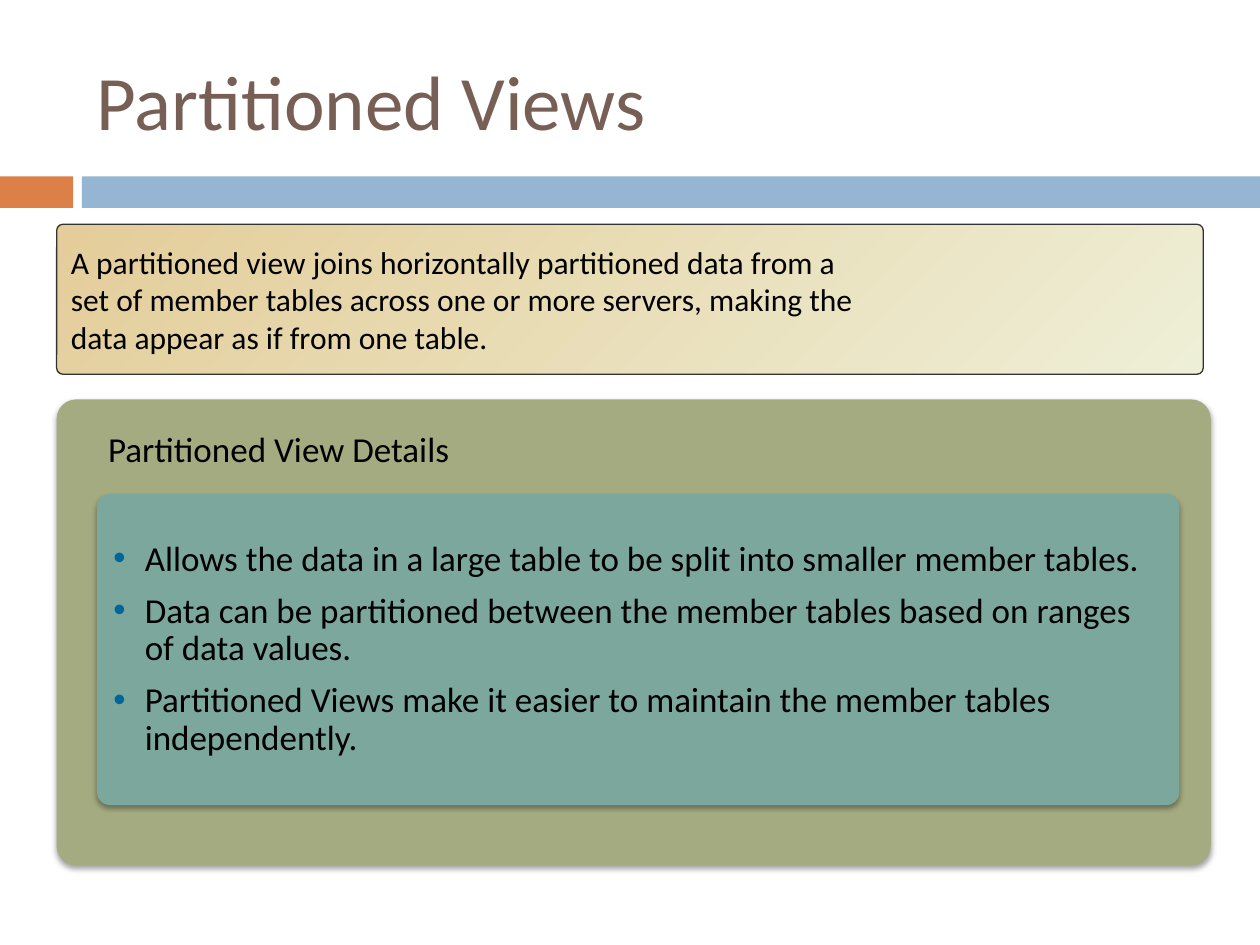
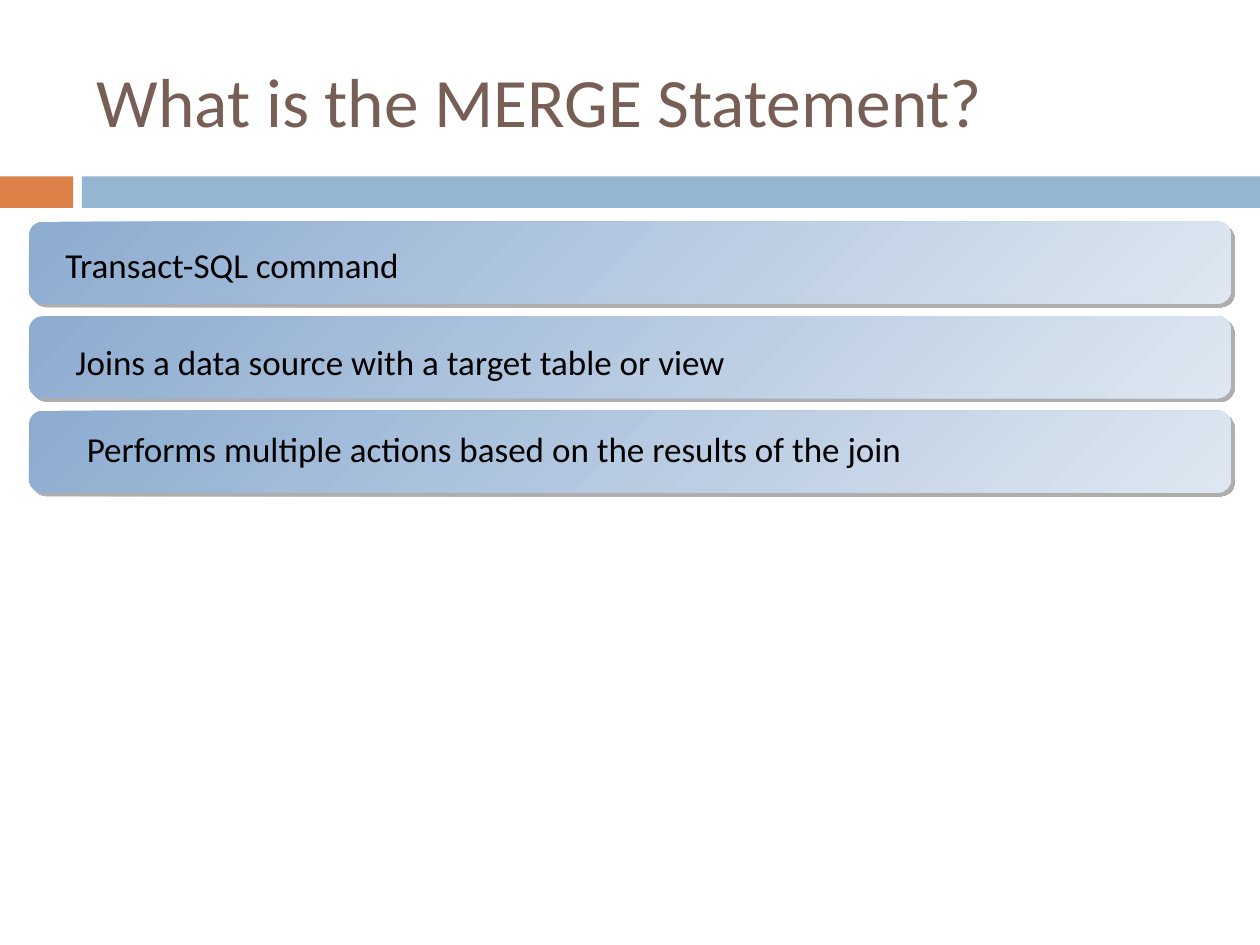
from lxml import etree
from pptx import Presentation
from pptx.dml.color import RGBColor
from pptx.enum import shapes, text
from pptx.oxml.ns import qn
from pptx.util import Inches, Pt

FONT = "Calibri"
BLACK = RGBColor(0x00, 0x00, 0x00)
BROWN = RGBColor(0x77, 0x5F, 0x55)
ORANGE = RGBColor(0xDD, 0x80, 0x47)
BLUE = RGBColor(0x94, 0xB6, 0xD2)
OLIVE = RGBColor(0xA5, 0xAB, 0x81)
TEAL = RGBColor(0x7B, 0xA7, 0x9D)
NAVY = RGBColor(0x00, 0x66, 0x99)
DARK = RGBColor(0x33, 0x33, 0x33)
GRAY = RGBColor(0x5F, 0x5F, 0x5F)
SAND = (RGBColor(0xE4, 0xCD, 0x9A), RGBColor(0xEE, 0xEF, 0xD7))
SKY = (RGBColor(0x8D, 0xAC, 0xD0), RGBColor(0xDE, 0xE7, 0xF1))

# colour, opacity %, blur pt, distance pt, angle
SOFT = (BLACK, 35, 3, 2, 90)
HARD = (GRAY, 50, 0, 2.8, 45)

RECT = shapes.MSO_SHAPE.RECTANGLE
ROUND = shapes.MSO_SHAPE.ROUNDED_RECTANGLE
MIDDLE = text.MSO_ANCHOR.MIDDLE


def add_shadow(shape, color, alpha, blur, dist, angle):
    """Give the shape an outer shadow."""
    effects = shape._element.spPr.find(qn("a:effectLst"))
    outer = etree.SubElement(
        effects, qn("a:outerShdw"), blurRad=str(Pt(blur)), dist=str(Pt(dist)),
        dir=str(angle * 60000), algn="ctr", rotWithShape="0")
    tone = etree.SubElement(outer, qn("a:srgbClr"), val=str(color))
    etree.SubElement(tone, qn("a:alpha"), val=str(alpha * 1000))


def add_box(parent, at, fill, round_by=None, line=None, shadow=None):
    """Draw a plain or rounded box; a pair of colours makes a gradient."""
    kind = RECT if round_by is None else ROUND
    box = parent.shapes.add_shape(kind, *map(Inches, at))
    box.shadow.inherit = False
    if round_by is not None:
        box.adjustments[0] = round_by
    if isinstance(fill, RGBColor):
        box.fill.solid()
        box.fill.fore_color.rgb = fill
    else:
        box.fill.gradient()
        box.fill.gradient_angle = 315
        for stop, color in zip(box.fill.gradient_stops, fill):
            stop.color.rgb = color
    if line is None:
        box.line.fill.background()
    else:
        box.line.color.rgb = line
        box.line.width = Pt(0.75)
    if shadow:
        add_shadow(box, *shadow)
    return box


def write(shape, lines, size, color=BLACK, anchor=text.MSO_ANCHOR.TOP):
    """Fill a shape with left-aligned paragraphs, one for each line."""
    frame = shape.text_frame
    frame.word_wrap = True
    frame.vertical_anchor = anchor
    frame.text = "\n".join(lines)
    for para in frame.paragraphs:
        para.alignment = text.PP_ALIGN.LEFT
        font = para.runs[0].font
        font.name, font.size, font.color.rgb = FONT, Pt(size), color
    return frame


def add_label(parent, at, words, size, **style):
    """Add a text box with a single paragraph."""
    return write(parent.shapes.add_textbox(*map(Inches, at)), [words], size, **style)


def add_bullets(frame):
    """Turn each paragraph into a bullet with a hanging indent."""
    for para in frame.paragraphs:
        para.line_spacing = 0.9
        para.space_before = Pt(8)
        props = para._p.get_or_add_pPr()
        props.set("marL", str(Inches(0.25)))
        props.set("indent", str(Inches(-0.25)))
        tone = etree.SubElement(props, qn("a:buClr"))
        etree.SubElement(tone, qn("a:srgbClr"), val=str(NAVY))
        etree.SubElement(props, qn("a:buFont"), typeface="Arial")
        etree.SubElement(props, qn("a:buChar"), char="\u2022")


def add_slide(deck, title, size):
    """Add a blank slide with the shared band and title."""
    slide = deck.slides.add_slide(deck.slide_layouts[6])
    add_box(slide, (0, 1.4, 0.58, 0.25), ORANGE)
    add_box(slide, (0.65, 1.4, 9.35, 0.25), BLUE)
    add_label(slide, (0.67, 0.25, 8.92, 1.08), title, size, color=BROWN, anchor=MIDDLE)
    return slide


def add_views(deck):
    """Build the slide on partitioned views."""
    slide = add_slide(deck, "Partitioned Views", 44)
    add_box(slide, (0.45, 3.17, 9.16, 3.7), OLIVE, 0.042, shadow=SOFT)
    panel = add_box(slide, (0.77, 3.92, 8.59, 2.47), TEAL, 0.042, shadow=SOFT)
    add_bullets(write(panel, [
        "Allows the data in a large table to be split into smaller member tables.",
        "Data can be partitioned between the member tables based on ranges of data values.",
        "Partitioned Views make it easier to maintain the member tables independently.",
    ], 20, anchor=MIDDLE))
    add_label(slide, (0.76, 3.34, 8.2, 0.43), "Partitioned View Details", 20)
    intro = add_box(slide, (0.45, 1.78, 9.1, 1.19), SAND, 0.042, line=DARK)
    write(intro, [
        "A partitioned view joins horizontally partitioned data from a",
        "set of member tables across one or more servers, making the",
        "data appear as if from one table.",
    ], 18, anchor=MIDDLE)


def add_merge(deck):
    """Build the slide on the MERGE statement, one grouped bar per fact."""
    slide = add_slide(deck, "What is the MERGE Statement?", 39.6)
    facts = [
        ("Transact-SQL command", (0.42, 1.92, 6.86, 0.4)),
        ("Joins a data source with a target table or view", (0.5, 2.69, 8.68, 0.4)),
        ("Performs multiple actions based on the results of the join",
         (0.59, 3.38, 9.18, 0.4)),
    ]
    for row, (words, at) in enumerate(facts):
        group = slide.shapes.add_group_shape()
        add_box(group, (0.23, 1.76 + 0.75 * row, 9.54, 0.65), SKY, 0.167, shadow=HARD)
        frame = add_label(group, at, words, 20)
        frame.paragraphs[0].line_spacing = 0.9


def main():
    """Build and save the deck."""
    deck = Presentation()
    deck.slide_width, deck.slide_height = Inches(10), Inches(7.5)
    add_views(deck)
    add_merge(deck)
    deck.save("out.pptx")


main()
